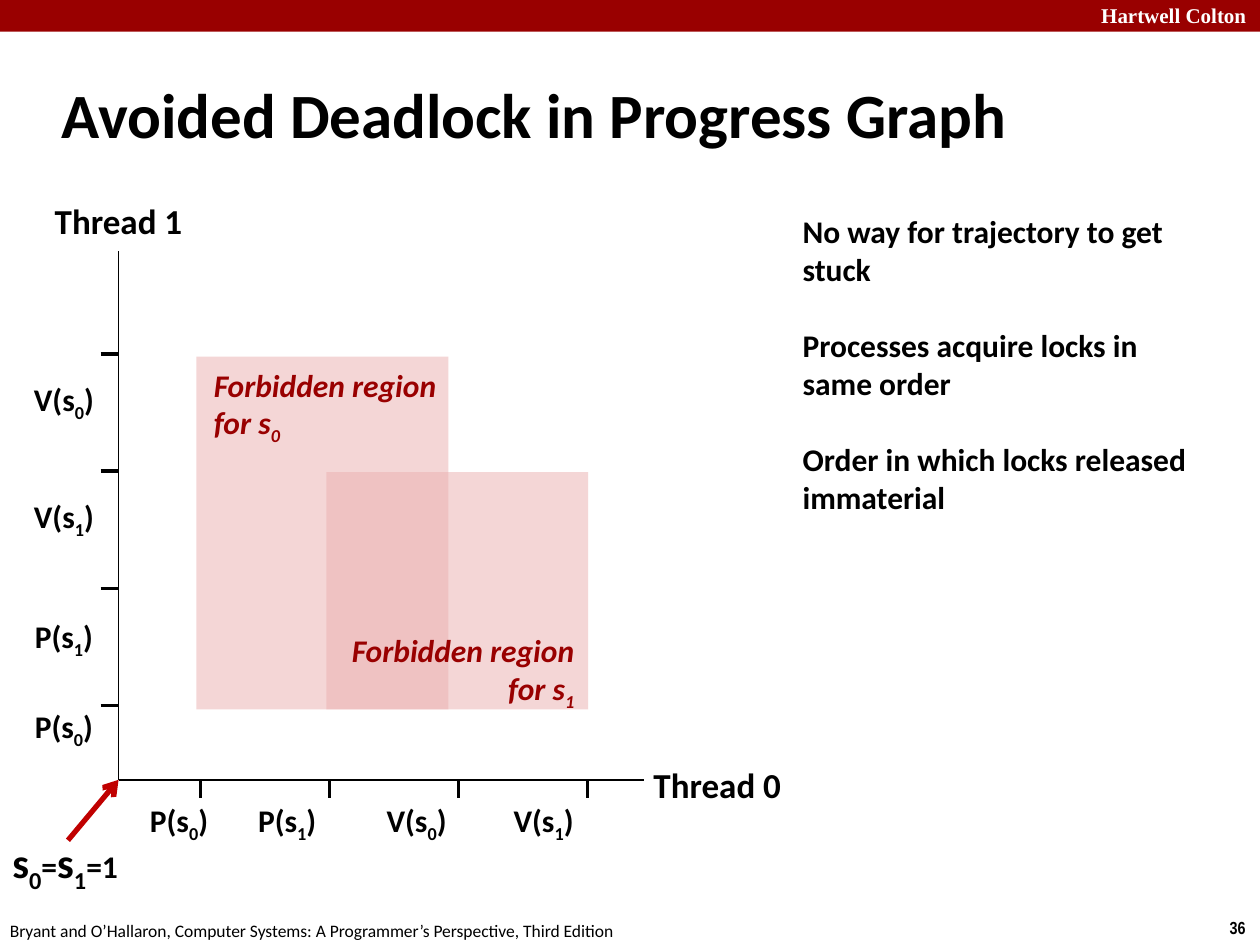
from lxml import etree
from pptx import Presentation
from pptx import util as u
from pptx.dml.color import RGBColor
from pptx.enum import shapes, text
from pptx.oxml.ns import qn

COLORS = {
    "ink": "000000",
    "band": "990000",
    "paper": "FFFFFF",
    "region": "EBAFAF",
    "arrow": "C00000",
}
LEFT, CENTER, RIGHT = text.PP_ALIGN.LEFT, text.PP_ALIGN.CENTER, text.PP_ALIGN.RIGHT
TOP, MIDDLE = text.MSO_ANCHOR.TOP, text.MSO_ANCHOR.MIDDLE


def color(name):
    return RGBColor.from_string(COLORS[name])


def add_spans(para, markup, size, ink="ink", bold=True, italic=False, font="Calibri"):
    """Add runs to a paragraph; the character after each underscore is a subscript."""
    head, *tails = markup.split("_")
    pieces = [(head, False)]
    for tail in tails:
        pieces += [(tail[0], True), (tail[1:], False)]
    for words, lowered in pieces:
        if not words:
            continue
        span = para.add_run()
        span.text = words
        span.font.name = font
        span.font.size = u.Pt(size)
        span.font.bold = bold
        span.font.italic = italic
        span.font.color.rgb = color(ink)
        if lowered:
            span.font._element.set("baseline", "-25000")


def add_text(page, box, lines, size, align=LEFT, anchor=TOP, wrap=False,
             inset=0.13, gap=0, **style):
    left, top, width, height = box
    frame = page.shapes.add_textbox(
        u.Cm(left), u.Cm(top), u.Cm(width), u.Cm(height)).text_frame
    frame.word_wrap = wrap
    frame.vertical_anchor = anchor
    frame.margin_top = frame.margin_bottom = u.Cm(inset)
    for index, line in enumerate(lines):
        para = frame.paragraphs[0] if index == 0 else frame.add_paragraph()
        para.alignment = align
        if index:
            para.space_before = u.Pt(gap)
        add_spans(para, line, size, **style)
    return frame


def add_rect(page, box, fill, opacity=None):
    left, top, width, height = box
    rect = page.shapes.add_shape(
        shapes.MSO_SHAPE.RECTANGLE, u.Cm(left), u.Cm(top), u.Cm(width), u.Cm(height))
    rect.shadow.inherit = False
    rect.fill.solid()
    rect.fill.fore_color.rgb = color(fill)
    rect.line.fill.background()
    if opacity is not None:
        tint = rect._element.spPr.find(qn("a:solidFill"))[0]
        etree.SubElement(tint, qn("a:alpha"), val=str(opacity * 1000))


def add_line(page, start, end, width, ink="ink", arrow=False):
    line = page.shapes.add_connector(
        shapes.MSO_CONNECTOR.STRAIGHT, *(u.Cm(value) for value in (*start, *end)))
    line.line.width = u.Pt(width)
    line.line.color.rgb = color(ink)
    if arrow:
        etree.SubElement(line.line._get_or_add_ln(), qn("a:tailEnd"), type="arrow")
    etree.SubElement(line._element.spPr, qn("a:effectLst"))


def draw_header(page, box):
    left, top, width, height = box
    add_rect(page, box, "band")
    add_text(page, (left + width - 3.45, top - 0.08, 3.63, 0.76), ["Hartwell Colton"], 12,
             ink="paper", font="Times New Roman")


def draw_footer(page, box):
    left, top, width, height = box
    add_text(page, (left + width - 0.86, top, 0.86, height), ["36"], 10,
             font="Arial Narrow")
    add_text(page, (left - 0.05, top + 0.05, 12.9, height),
             ["Bryant and O’Hallaron, Computer Systems: "
              "A Programmer’s Perspective, Third Edition"], 10, bold=False)


def draw_axes(page, box):
    left, top, width, height = box
    base = top + height
    tick = 0.36
    add_line(page, (left, base), (left + width, base), 1)
    add_line(page, (left, base), (left, top), 1)
    add_text(page, (left + width - 0.08, base - 0.46, 3.12, 1.12), ["Thread 0"], 20,
             CENTER, MIDDLE)
    add_text(page, (left - 1.55, top - 1.17, 3.1, 1.12), ["Thread 1"], 20,
             CENTER, MIDDLE)

    for index in range(4):
        x = left + 1.65 + 2.6 * index
        y = base - 1.5 - 2.36 * index
        add_line(page, (x, base), (x, base + tick), 2)
        add_line(page, (left - tick, y), (left, y), 2)

    across = zip(["P(s_0)", "P(s_1)", "V(s_0)", "V(s_1)"], [1.22, 3.4, 6.01, 8.57])
    upward = zip(["P(s_0)", "P(s_1)", "V(s_1)", "V(s_0)"], [1.04, 2.84, 5.26, 7.62])
    centers = [(name, left + offset, base + 0.87) for name, offset in across]
    centers += [(name, left - 1.1, base - offset) for name, offset in upward]
    for name, x, y in centers:
        add_text(page, (x - 0.87, y - 0.51, 1.74, 1.02), [name], 18, CENTER, MIDDLE)


def draw_regions(page, box):
    left, top, width, height = box
    base = top + height - 1.42
    first = (left + 1.57, base - 7.11, 5.08, 7.11)
    second = (left + 4.19, base - 4.78, 5.28, 4.78)
    for region in (first, second):
        add_rect(page, region, "region", opacity=50)
    style = {"ink": "band", "italic": True}
    add_text(page, (first[0] + 0.1, first[1] + 0.05, 5.23, 1.8),
             ["Forbidden region", "for s_0"], 18, **style)
    add_text(page, (second[0] + 0.05, base - 1.7, 5.2, 1.8),
             ["Forbidden region", "for s_1"], 18, RIGHT, **style)


def draw_start(page, box):
    """Mark the origin of the graph with the initial semaphore values."""
    left, top, width, height = box
    base = top + height
    frame = add_text(page, (left - 2.39, base + 1.22, 2.74, 1.02), ["s_0"], 24,
                     anchor=MIDDLE, inset=0)
    for markup, size in (("=", 18), ("s_1", 24), ("=1", 18)):
        add_spans(frame.paragraphs[0], markup, size)
    add_line(page, (left - 1.02, base + 1.22), (left, base), 3, "arrow", arrow=True)


def draw_graph(page, box):
    draw_axes(page, box)
    draw_regions(page, box)
    draw_start(page, box)


def draw_notes(page, box):
    add_text(page, box,
             ["No way for trajectory to get stuck",
              "Processes acquire locks in same order",
              "Order in which locks released immaterial"],
             18, wrap=True, inset=0, gap=22)


def main():
    deck = Presentation()
    deck.slide_width, deck.slide_height = u.Cm(25.4), u.Cm(19.05)
    page = deck.slides.add_slide(deck.slide_layouts[6])
    draw_header(page, (0, 0, 25.4, 0.64))
    draw_footer(page, (0, 18.36, 25.4, 0.69))
    add_text(page, (0.99, 1.22, 21.08, 2.11), ["Avoided Deadlock in Progress Graph"], 36,
             anchor=MIDDLE, wrap=True)
    draw_graph(page, (2.39, 5.05, 10.59, 10.67))
    draw_notes(page, (15.93, 4.27, 8.64, 6.1))
    deck.save("out.pptx")


if __name__ == "__main__":
    main()
